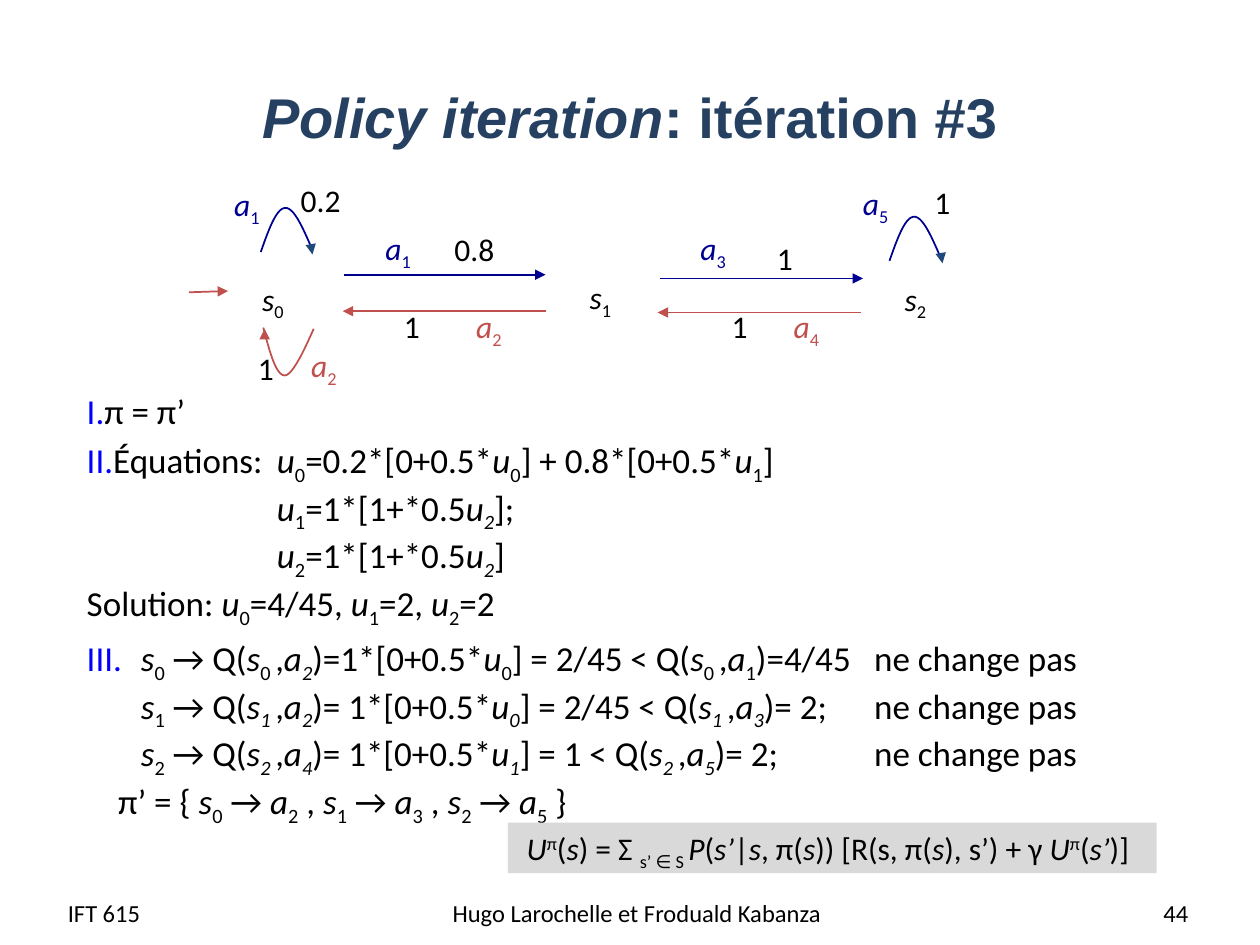
from lxml import etree
from pptx import Presentation
from pptx.dml.color import RGBColor
from pptx.enum.shapes import MSO_CONNECTOR, MSO_SHAPE
from pptx.enum.text import MSO_ANCHOR, PP_ALIGN
from pptx.oxml.ns import qn
from pptx.util import Inches, Pt

STRAIGHT, RECTANGLE = MSO_CONNECTOR.STRAIGHT, MSO_SHAPE.RECTANGLE
LEFT, CENTER, RIGHT = PP_ALIGN.LEFT, PP_ALIGN.CENTER, PP_ALIGN.RIGHT
TOP, MIDDLE = MSO_ANCHOR.TOP, MSO_ANCHOR.MIDDLE

THEME = {
    "black": "000000", "blue": "000090", "red": "C0504D", "navy": "1F497D",
    "title": "254061", "bullet": "0000FF", "panel": "D9D9D9",
    "title_font": "Arial", "text_font": "Calibri",
    "title_size": 32, "body_size": 20, "label_size": 18, "footer_size": 14,
}

# Markup: ~ toggles italic, _ toggles subscript, ^ toggles superscript
TITLE = "~Policy iteration~: itération #3"
FORMULA = ("~U~^π^(~s~) = Σ _s’ ∈ S _~P~(~s’~|~s~, π(~s~)) "
           "[R(s, π(~s~), s’) + γ ~U~^π^(~s’~)]")

# (text, tab stops) for each numbered step
STEPS = [
    ("π = π’", []),
    ("Équations:\t~u~_0_=0.2*[0+0.5*~u~_0_] + 0.8*[0+0.5*~u~_1_]\n"
     "\t~u~_1_=1*[1+*0.5~u_2_~];\n"
     "\t~u~_2_=1*[1+*0.5~u_2_~]\n"
     "Solution: ~u~_0_=4/45, ~u~_1_=2, ~u~_2_=2", [1.51]),
    ("\t~s~_0_ → Q(~s~_0 _,~a_2_~)=1*[0+0.5*~u~_0_] = 2/45 < "
     "Q(~s~_0 _,~a~_1_)=4/45\tne change pas\n"
     "\t\t~s~_1_ → Q(~s_1 _~,~a_2_~)= 1*[0+0.5*~u_0_~] = 2/45 < "
     "Q(~s_1 _~,~a_3_~)= 2;\tne change pas\n"
     "\t\t~s~_2_ → Q(~s_2 _~,~a_4_~)= 1*[0+0.5*~u_1_~] = 1 < "
     "Q(~s_2 _~,~a_5_~)= 2;\tne change pas\n"
     "\tπ’ = { ~s~_0_ → ~a~_2_ , ~s~_1_ → ~a~_3_ , ~s~_2_ → ~a~_5_ }",
     [0.25, 0.43, 6.25]),
]

# (text, colour, left, top, width)
LABELS = [
    ("~s~_0_", "black", 1.96, 2.17, 0.41),
    ("~s~_1_", "black", 4.56, 2.16, 0.41),
    ("~s~_2_", "black", 7.06, 2.17, 0.41),
    ("~a~_1_", "blue", 1.74, 1.42, 0.44),
    ("~a~_1_", "blue", 2.94, 1.77, 0.44),
    ("~a~_3_", "blue", 5.44, 1.77, 0.44),
    ("~a~_5_", "blue", 6.73, 1.41, 0.44),
    ("~a~_2_", "red", 2.35, 2.7, 0.44),
    ("~a~_2_", "red", 3.66, 2.39, 0.44),
    ("~a~_4_", "red", 6.18, 2.39, 0.44),
    ("0.2", "black", 2.28, 1.39, 0.53),
    ("0.8", "black", 3.5, 1.78, 0.53),
    ("1", "black", 7.31, 1.4, 0.34),
    ("1", "black", 6.06, 1.85, 0.34),
    ("1", "black", 5.7, 2.39, 0.34),
    ("1", "black", 3.1, 2.39, 0.34),
    ("1", "black", 1.94, 2.72, 0.34),
]

# (from, to, colour): transitions, start arrow, then loop tips
ARROWS = [
    ((2.73, 2.18), (4.33, 2.18), "blue"),
    ((5.24, 2.21), (6.85, 2.21), "blue"),
    ((4.33, 2.47), (2.72, 2.47), "red"),
    ((6.83, 2.48), (5.22, 2.48), "red"),
    ((1.5, 2.32), (1.81, 2.31), "red"),
    ((2.1, 2.68), (2.1, 2.61), "red"),
    ((2.47, 1.96), (2.48, 2.02), "navy"),
    ((7.47, 2.03), (7.48, 2.09), "navy"),
]

# Each loop is two cubic curves that share their middle point
UPPER_LOOP = [(0, 0.36), (0.06, 0.19), (0.12, 0.02), (0.19, 0.01),
              (0.26, 0), (0.33, 0.16), (0.4, 0.32)]
LOWER_LOOP = [(0.4, 0.01), (0.32, 0.19), (0.23, 0.38), (0.17, 0.38),
              (0.1, 0.38), (0.05, 0.19), (0, 0)]
LOOPS = [(UPPER_LOOP, 2.07, 1.64, "blue"), (UPPER_LOOP, 7.06, 1.71, "blue"),
         (LOWER_LOOP, 2.09, 2.6, "red")]

# (text, left, width, alignment)
FOOTERS = [("IFT 615", 0.44, 1.93, LEFT),
           ("Hugo Larochelle et Froduald Kabanza", 3.47, 3.17, CENTER),
           ("44", 7.2, 2.33, RIGHT)]


def color(name):
    return RGBColor.from_string(THEME[name])


def add_marked_text(paragraph, text):
    italic, baseline, buffer = False, 0, ""

    def flush():
        if buffer:
            run = paragraph.add_run()
            run.text = buffer
            if italic:
                run.font.italic = True
            if baseline:
                run._r.get_or_add_rPr().set("baseline", str(baseline))

    for character in text:
        if character not in "~_^\n":
            buffer += character
            continue
        flush()
        buffer = ""
        if character == "~":
            italic = not italic
        elif character == "\n":
            paragraph.add_line_break()
        else:
            shift = -25000 if character == "_" else 30000
            baseline = 0 if baseline else shift
    flush()


def style(paragraph, size, tone="black", font="text_font", alignment=LEFT):
    paragraph.alignment = alignment
    paragraph.font.name = THEME[font]
    paragraph.font.size = Pt(THEME[size])
    paragraph.font.color.rgb = color(tone)


def add_text(slide, text, box, size, wrap=True, anchor=TOP, **look):
    shape = slide.shapes.add_textbox(*map(Inches, box))
    frame = shape.text_frame
    frame.word_wrap, frame.vertical_anchor = wrap, anchor
    add_marked_text(frame.paragraphs[0], text)
    style(frame.paragraphs[0], size, **look)
    return shape


def add_numbering(paragraph, stops):
    properties = paragraph._p.get_or_add_pPr()
    bullet_color = etree.SubElement(properties, qn("a:buClr"))
    etree.SubElement(bullet_color, qn("a:srgbClr"), val=THEME["bullet"])
    etree.SubElement(properties, qn("a:buAutoNum"), type="romanUcPeriod")
    if stops:
        tabs = etree.SubElement(properties, qn("a:tabLst"))
        for stop in stops:
            etree.SubElement(tabs, qn("a:tab"), pos=str(Inches(stop)), algn="l")


def add_arrow(slide, start, end, tone):
    arrow = slide.shapes.add_connector(STRAIGHT, *map(Inches, start + end))
    arrow.line.color.rgb, arrow.line.width = color(tone), Pt(1)
    etree.SubElement(arrow.line._get_or_add_ln(), qn("a:tailEnd"), type="triangle")
    etree.SubElement(arrow._element.spPr, qn("a:effectLst"))


def curve_points(controls, steps=12):
    points = [controls[0]]
    for first in range(0, len(controls) - 1, 3):
        p0, p1, p2, p3 = controls[first:first + 4]
        for step in range(1, steps + 1):
            t = step / steps
            u = 1 - t
            points.append(tuple(
                u**3 * a + 3 * u * u * t * b + 3 * u * t * t * c + t**3 * d
                for a, b, c, d in zip(p0, p1, p2, p3)))
    return points


def add_loop(slide, controls, left, top, tone):
    points = [(Inches(left + x), Inches(top + y)) for x, y in curve_points(controls)]
    builder = slide.shapes.build_freeform(*points[0])
    builder.add_line_segments(points[1:], close=False)
    loop = builder.convert_to_shape()
    loop.shadow.inherit = False
    loop.fill.background()
    loop.line.color.rgb, loop.line.width = color(tone), Pt(1)


def main():
    presentation = Presentation()
    presentation.slide_width, presentation.slide_height = Inches(10), Inches(7.5)
    slide = presentation.slides.add_slide(presentation.slide_layouts[6])

    # Title
    title = add_text(slide, TITLE, (0.5, 0.3, 9, 1.25), "title_size", anchor=MIDDLE,
                     tone="title", font="title_font", alignment=CENTER)
    title.text_frame.paragraphs[0].font.bold = True

    # State diagram
    for text, tone, left, top, width in LABELS:
        add_text(slide, text, (left, top, width, 0.4), "label_size", wrap=False,
                 tone=tone, alignment=CENTER)
    for loop in LOOPS:
        add_loop(slide, *loop)
    for arrow in ARROWS:
        add_arrow(slide, *arrow)

    # Numbered steps
    body = slide.shapes.add_textbox(*map(Inches, (0.59, 3.04, 8.67, 3.49)))
    frame = body.text_frame
    frame.word_wrap = True
    for index, (text, stops) in enumerate(STEPS):
        paragraph = frame.add_paragraph() if index else frame.paragraphs[0]
        if index:
            paragraph.space_before = Pt(4)
        add_numbering(paragraph, stops)
        add_marked_text(paragraph, text)
        style(paragraph, "body_size")

    # Formula panel
    panel = slide.shapes.add_shape(RECTANGLE, *map(Inches, (4.03, 6.53, 5.15, 0.4)))
    panel.shadow.inherit = False
    panel.fill.solid()
    panel.fill.fore_color.rgb = color("panel")
    panel.line.fill.background()
    frame = panel.text_frame
    frame.word_wrap, frame.vertical_anchor = False, TOP
    frame.margin_left = Inches(0.15)
    add_marked_text(frame.paragraphs[0], FORMULA)
    style(frame.paragraphs[0], "label_size")

    # Footer
    for text, left, width, alignment in FOOTERS:
        add_text(slide, text, (left, 7.04, width, 0.4), "footer_size",
                 anchor=MIDDLE, alignment=alignment)

    presentation.save("out.pptx")


if __name__ == "__main__":
    main()
